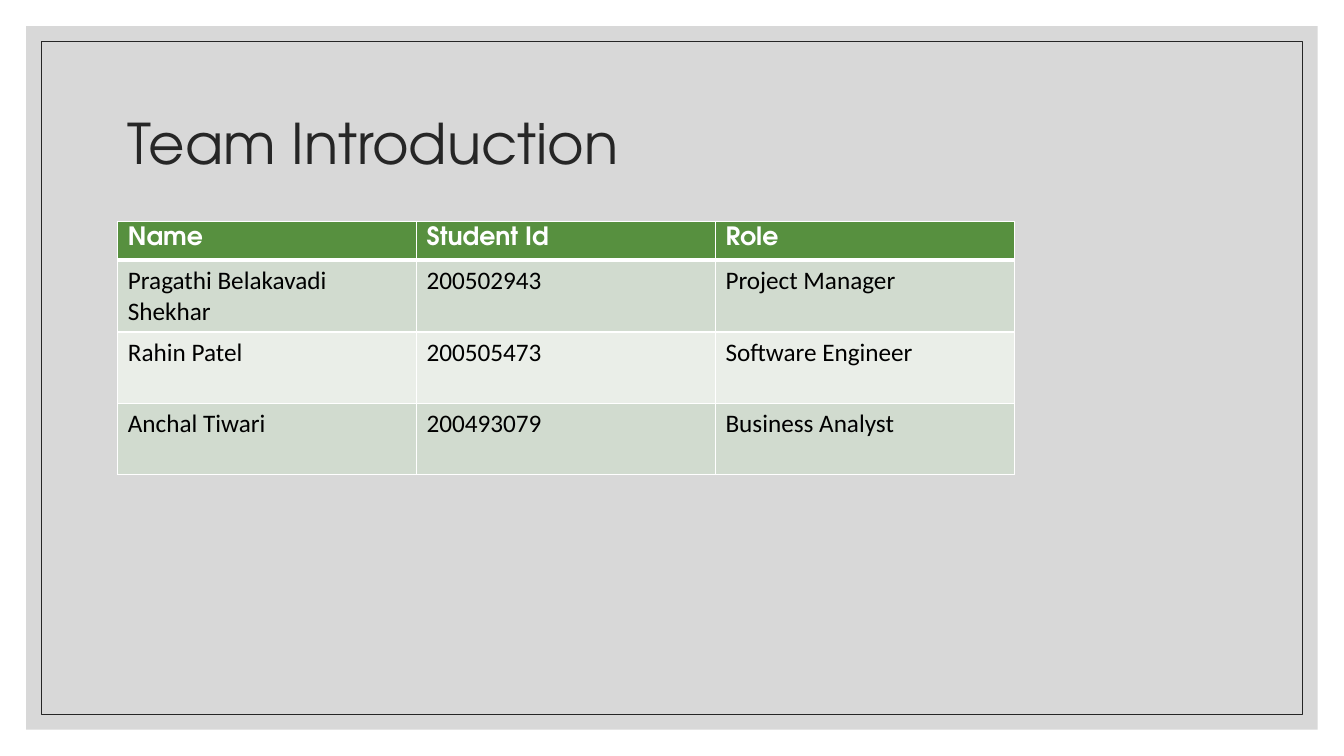
from lxml import etree
from pptx import Presentation
from pptx.dml.color import RGBColor
from pptx.enum.shapes import MSO_SHAPE
from pptx.enum.text import MSO_ANCHOR, PP_ALIGN
from pptx.oxml.ns import qn
from pptx.util import Cm, Pt

RECTANGLE = MSO_SHAPE.RECTANGLE
MIDDLE = MSO_ANCHOR.MIDDLE
LEFT = PP_ALIGN.LEFT
TITLE_ONLY = 5

TITLE = "Team Introduction"
TEAM = [
    ("Name", "Student Id", "Role"),
    ("Pragathi Belakavadi Shekhar", "200502943", "Project Manager"),
    ("Rahin Patel", "200505473", "Software Engineer"),
    ("Anchal Tiwari", "200493079", "Business Analyst"),
]

SLIDE_WIDTH, SLIDE_HEIGHT = 33.87, 19.05
PANEL_MARGIN, FRAME_MARGIN = 0.66, 1.04
CONTENT_LEFT = 2.97
COLUMN_WIDTH = 7.53
HEADER_HEIGHT, ROW_HEIGHT = 0.97, 1.8

HEADER_FILL = "57903F"
BAND_FILLS = ("D1DBCF", "EAEEE8")
TITLE_FONT = {"name": "TeX Gyre Adventor", "size": Pt(40), "bold": False}
HEADER_FONT = {"name": "TeX Gyre Adventor", "size": Pt(18), "bold": True}
BODY_FONT = {"name": "Calibri", "size": Pt(18), "bold": False}


def set_color(target, color):
    target.rgb = RGBColor.from_string(color)


def set_fill(target, color):
    target.fill.solid()
    set_color(target.fill.fore_color, color)


def write(text_frame, text, font_format, color):
    paragraph = text_frame.paragraphs[0]
    paragraph.alignment = LEFT
    run = paragraph.add_run()
    run.text = text
    for name, value in font_format.items():
        setattr(run.font, name, value)
    set_color(run.font.color, color)
    return paragraph


def add_inset_rectangle(slide, margin):
    """Add a rectangle at the same distance from all four slide edges."""
    shape = slide.shapes.add_shape(
        RECTANGLE, Cm(margin), Cm(margin),
        Cm(SLIDE_WIDTH - 2 * margin), Cm(SLIDE_HEIGHT - 2 * margin))
    shape.shadow.inherit = False
    return shape


def add_background(slide):
    panel = add_inset_rectangle(slide, PANEL_MARGIN)
    set_fill(panel, "BFBFBF")
    panel.line.fill.background()
    panel_color = panel.element.spPr.find(".//" + qn("a:srgbClr"))
    etree.SubElement(panel_color, qn("a:alpha"), val="60000")

    frame = add_inset_rectangle(slide, FRAME_MARGIN)
    frame.fill.background()
    set_color(frame.line.color, "262626")
    frame.line.width = Pt(0.5)


def add_title(slide):
    title = slide.shapes.title
    title.left, title.top = Cm(CONTENT_LEFT), Cm(1.78)
    title.width, title.height = Cm(27.94), Cm(3.81)
    title.text_frame.vertical_anchor = MIDDLE
    paragraph = write(title.text_frame, TITLE, TITLE_FONT, "262626")
    paragraph.line_spacing = 0.9
    # Bring the title in front of the background panel
    title.element.getparent().append(title.element)


def set_borders(cell, color, widths):
    """Draw the left, right, top and bottom borders, widths in points."""
    properties = cell._tc.get_or_add_tcPr()
    for position, (side, width) in enumerate(zip("LRTB", widths)):
        line = etree.Element(qn("a:ln" + side), w=str(Pt(width)))
        fill = etree.SubElement(line, qn("a:solidFill"))
        etree.SubElement(fill, qn("a:srgbClr"), val=color)
        # Borders come before the cell fill
        properties.insert(position, line)


def add_team_table(slide):
    heights = [HEADER_HEIGHT] + [ROW_HEIGHT] * (len(TEAM) - 1)
    columns = len(TEAM[0])
    table = slide.shapes.add_table(
        len(TEAM), columns, Cm(CONTENT_LEFT), Cm(5.59),
        Cm(COLUMN_WIDTH * columns), Cm(sum(heights))).table
    for column in table.columns:
        column.width = Cm(COLUMN_WIDTH)
    for row_index, (member, height) in enumerate(zip(TEAM, heights)):
        table.rows[row_index].height = Cm(height)
        for column_index, text in enumerate(member):
            cell = table.cell(row_index, column_index)
            if row_index == 0:
                set_fill(cell, HEADER_FILL)
                set_borders(cell, "FFFFFF", (1, 1, 1, 3))
                write(cell.text_frame, text, HEADER_FONT, "FFFFFF")
            else:
                top_width = 3 if row_index == 1 else 1
                set_fill(cell, BAND_FILLS[(row_index - 1) % 2])
                set_borders(cell, "FFFFFF", (1, 1, top_width, 1))
                write(cell.text_frame, text, BODY_FONT, "000000")


def main():
    presentation = Presentation()
    presentation.slide_width = Cm(SLIDE_WIDTH)
    presentation.slide_height = Cm(SLIDE_HEIGHT)
    slide = presentation.slides.add_slide(presentation.slide_layouts[TITLE_ONLY])
    add_background(slide)
    add_title(slide)
    add_team_table(slide)
    presentation.save("out.pptx")


if __name__ == "__main__":
    main()
